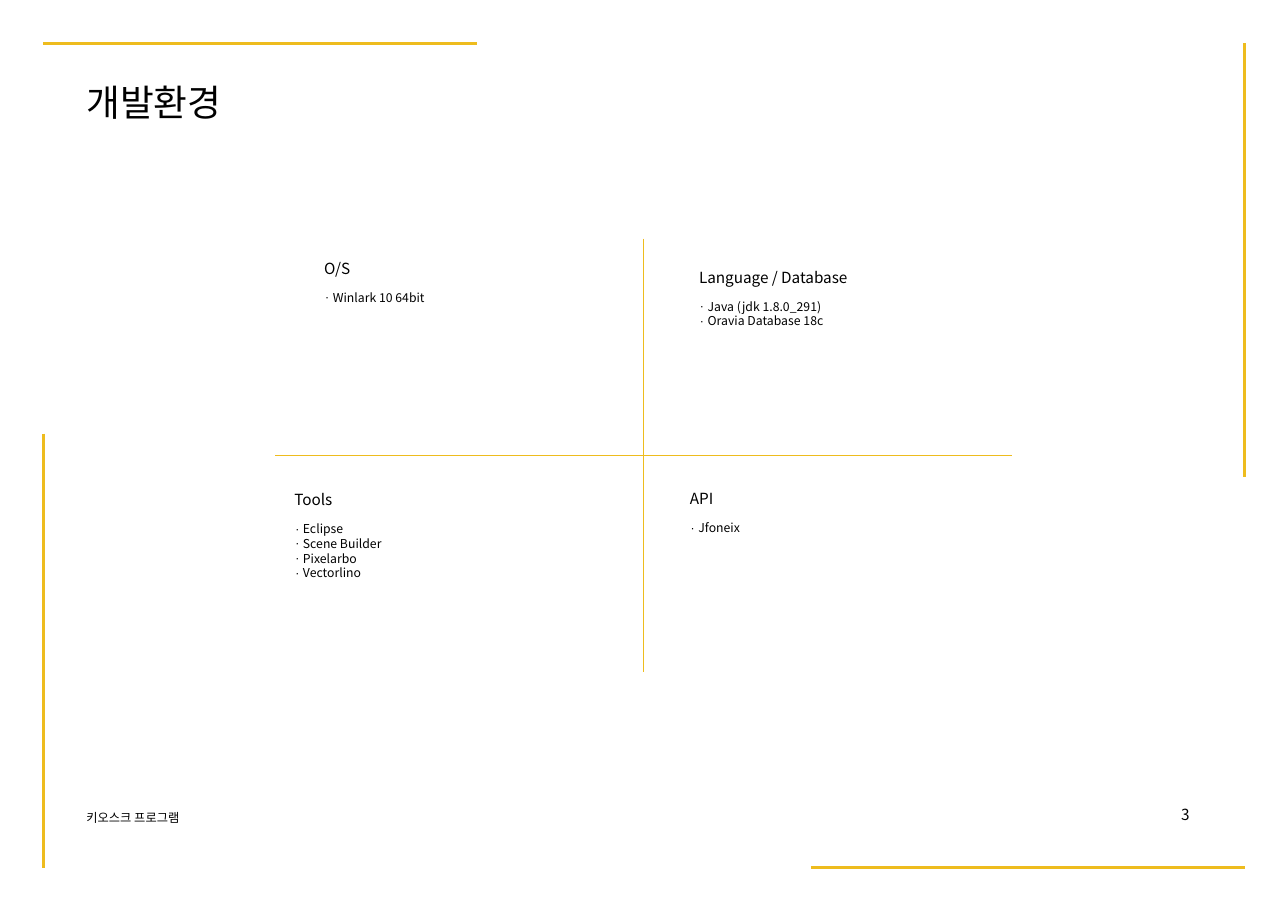
from lxml import etree
from pptx import Presentation
from pptx.dml.color import RGBColor
from pptx.enum.shapes import MSO_CONNECTOR
from pptx.enum.text import MSO_ANCHOR, MSO_AUTO_SIZE, PP_ALIGN
from pptx.oxml.ns import qn
from pptx.util import Pt

FONT = "Noto Sans CJK KR"
GOLD = "EEBC1E"
BLACK = "000000"
SLIDE_WIDTH, SLIDE_HEIGHT = 841.9, 595.3
MARGIN = 28.35
FRAME_ARM = 283.5

TOPICS = [
    # placeholder index, offset from the cross box, size, heading, items
    (1, (31, 12.5), (110, 32), "O/S", ["Winlark 10 64bit"]),
    (2, (276, 18.2), (125, 42), "Language / Database",
     ["Java (jdk 1.8.0_291)", "Oravia Database 18c"]),
    (3, (11.5, 163.7), (90, 61), "Tools",
     ["Eclipse", "Scene Builder", "Pixelarbo", "Vectorlino"]),
    (4, (270, 163), (90, 32), "API", ["Jfoneix"]),
]


def color(hex_value):
    return RGBColor.from_string(hex_value)


def add_line(slide, x1, y1, x2, y2, width):
    line = slide.shapes.add_connector(
        MSO_CONNECTOR.STRAIGHT, Pt(x1), Pt(y1), Pt(x2), Pt(y2))
    line.line.color.rgb = color(GOLD)
    line.line.width = Pt(width)
    etree.SubElement(line._element.spPr, qn("a:effectLst"))


def place(shape, left, top, width, height, inset_top=0):
    """Move a text shape and clear its inherited frame settings."""
    box = {"left": left, "top": top, "width": width, "height": height}
    for name, value in box.items():
        setattr(shape, name, Pt(value))
    frame_format = {
        "margin_left": 0, "margin_top": Pt(inset_top),
        "margin_right": 0, "margin_bottom": 0, "word_wrap": True,
        "auto_size": MSO_AUTO_SIZE.NONE, "vertical_anchor": MSO_ANCHOR.TOP,
    }
    for name, value in frame_format.items():
        setattr(shape.text_frame, name, value)
    return shape.text_frame


def write(paragraph, text, size, space_before=0, bullet=None):
    indent = (6.5, -5) if bullet else (0.9, 0)
    properties = paragraph._p.get_or_add_pPr()
    properties.set("marL", str(Pt(indent[0])))
    properties.set("indent", str(Pt(indent[1])))
    if bullet:
        etree.SubElement(properties, qn("a:buChar"), char=bullet)
    else:
        etree.SubElement(properties, qn("a:buNone"))
    paragraph.alignment = PP_ALIGN.LEFT
    paragraph.space_before = Pt(space_before)
    run = paragraph.add_run()
    run.text = text
    run_format = {"name": FONT, "size": Pt(size), "bold": False}
    for name, value in run_format.items():
        setattr(run.font, name, value)
    run.font.color.rgb = color(BLACK)
    etree.SubElement(run._r.get_or_add_rPr(), qn("a:ea"), typeface=FONT)


def add_frame(slide, left, top, width, height):
    """Draw one partial line along each side of the box."""
    right, bottom = left + width, top + height
    add_line(slide, left, top, left + FRAME_ARM, top, 2)
    add_line(slide, right - FRAME_ARM, bottom, right, bottom, 2)
    add_line(slide, right, top, right, top + FRAME_ARM, 2)
    add_line(slide, left, bottom - FRAME_ARM, left, bottom, 2)


def add_header(slide, left, top, width, height):
    title = place(slide.shapes.title, left, top, width, height, 0.9)
    write(title.paragraphs[0], "개발환경", 24)


def add_environment(slide, left, top, width, height):
    """Draw the cross and the four topics around it."""
    center_x, center_y = left + width / 2, top + height / 2
    add_line(slide, center_x, top, center_x, top + height, 1)
    add_line(slide, left, center_y, left + width, center_y, 1)
    for index, (dx, dy), size, heading, items in TOPICS:
        topic = place(slide.placeholders[index], left + dx, top + dy, *size, 0.9)
        write(topic.paragraphs[0], heading, 10)
        for number, item in enumerate(items):
            write(topic.add_paragraph(), item, 8, 0 if number else 8.2, "·")


def add_footer(slide, left, top, width, height):
    project_width, number_width = 90, 16
    parts = [
        ("키오스크 프로그램", 8, left, top + 2.8, project_width),
        ("3", 10, left + width - number_width, top, number_width),
    ]
    for text, size, part_left, part_top, part_width in parts:
        box = slide.shapes.add_textbox(0, 0, 0, 0)
        frame = place(box, part_left, part_top, part_width, height)
        write(frame.paragraphs[0], text, size)


def main():
    deck = Presentation()
    deck.slide_width, deck.slide_height = Pt(SLIDE_WIDTH), Pt(SLIDE_HEIGHT)
    comparison_layout = deck.slide_layouts[4]
    slide = deck.slides.add_slide(comparison_layout)
    add_frame(slide, MARGIN, MARGIN,
              SLIDE_WIDTH - 2 * MARGIN, SLIDE_HEIGHT - 2 * MARGIN)
    add_header(slide, 55.5, 51, 120, 31)
    add_environment(slide, 180, 156, 481.6, 283.4)
    add_footer(slide, 55.5, 526.4, 731.7, 13.5)
    deck.save("out.pptx")


if __name__ == "__main__":
    main()
